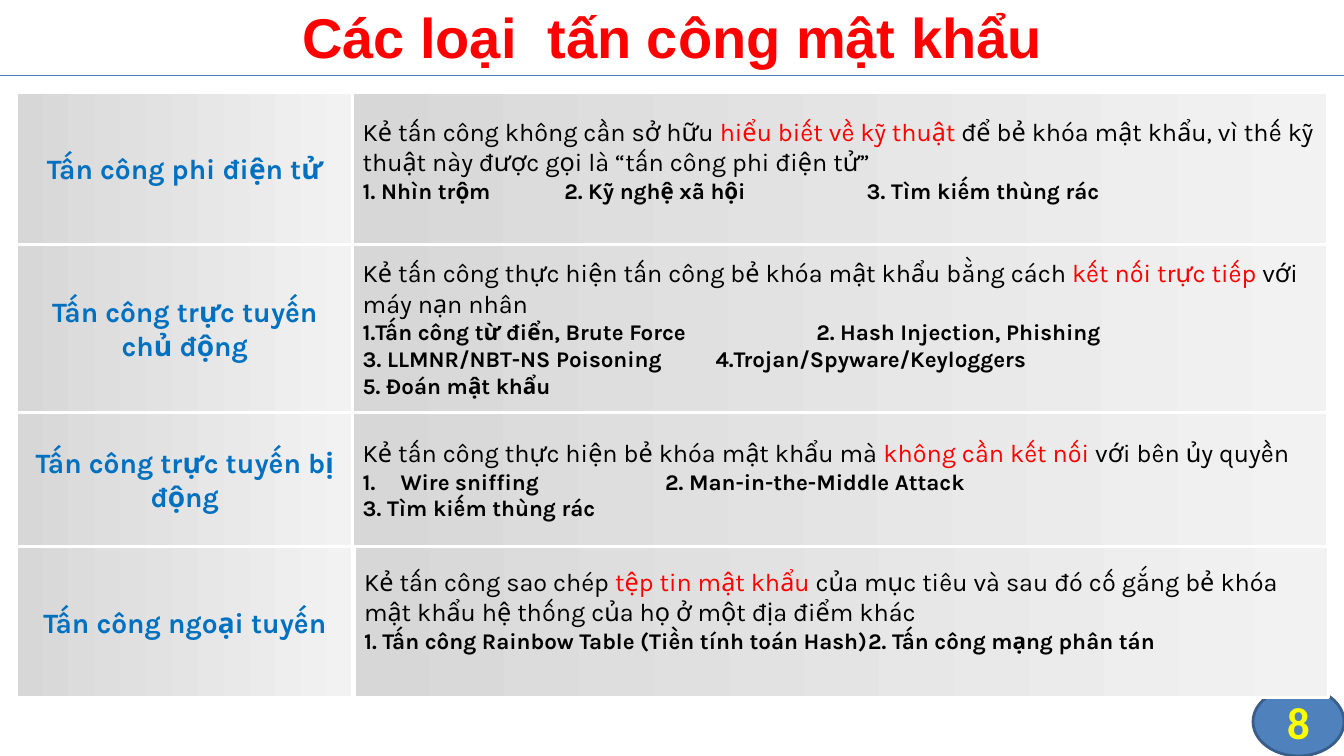
from lxml import etree
from pptx import Presentation
from pptx.dml.color import RGBColor
from pptx.enum import shapes, text
from pptx.oxml import ns
from pptx.util import Pt

TITLE = "Các loại  tấn công mật khẩu"
PAGE_NUMBER = "8"

# height: row height; lift: extra space under the details; shift: offset of the details box
# intro: plain, highlighted, plain; items: (text, tab stops, numbered)
ATTACKS = [
    dict(name="Tấn công phi điện tử", height=108.2, lift=12, shift=0,
         intro=("Kẻ tấn công không cần sở hữu ", "hiểu biết về kỹ thuật ",
                "để bẻ khóa mật khẩu, vì thế kỹ thuật này được gọi là “tấn công phi điện tử”"),
         items=[("1. Nhìn trộm\t2. Kỹ nghệ xã hội\t3. Tìm kiếm thùng rác", (144, 360), False)]),
    dict(name="Tấn công trực tuyến chủ động", height=120, lift=0, shift=0,
         intro=("Kẻ tấn công thực hiện tấn công bẻ khóa mật khẩu bằng cách ",
                "kết nối trực tiếp ", "với máy nạn nhân"),
         items=[("1.Tấn công từ điển, Brute Force\t2. Hash Injection, Phishing", (324,), False),
                ("3. LLMNR/NBT-NS Poisoning\t4.Trojan/Spyware/Keyloggers", (252,), False),
                ("5. Đoán mật khẩu", (), False)]),
    dict(name="Tấn công trực tuyến bị động", height=96, lift=0, shift=0,
         intro=("Kẻ tấn công thực hiện bẻ khóa mật khẩu mà ", "không cần kết nối ",
                "với bên ủy quyền"),
         items=[("Wire sniffing\t2. Man-in-the-Middle Attack", (216,), True),
                ("3. Tìm kiếm thùng rác", (), False)]),
    dict(name="Tấn công ngoại tuyến", height=108, lift=17, shift=1,
         intro=("Kẻ tấn công sao chép ", "tệp tin mật khẩu ",
                "của mục tiêu và sau đó cố gắng bẻ khóa mật khẩu hệ thống của họ "
                "ở một địa điểm khác"),
         items=[("1. Tấn công Rainbow Table (Tiền tính toán Hash)\t2. Tấn công mạng phân tán",
                 (360,), False)]),
]

SLIDE_WIDTH, SLIDE_HEIGHT = 960, 540
GRID_LEFT, GRID_TOP = 12, 66.2
NAME_WIDTH, DETAILS_WIDTH = 240, 696
NUMBER_INDENT = 27

TITLE_FORMAT = dict(name="Arial", size=Pt(40), bold=True, color="FF0000")
NUMBER_FORMAT = dict(name="Calibri", size=Pt(32), bold=True, color="FFFF00")
NAME_FORMAT = dict(name="Karla", size=Pt(20), bold=True, color="0070C0")
INTRO_FORMAT = dict(name="Karla", size=Pt(18), bold=False, color="000000")
KEY_FORMAT = dict(INTRO_FORMAT, color="FF0000")
ITEM_FORMAT = dict(name="Karla", size=Pt(16), bold=True, color="000000")


def rgb(code):
    return RGBColor.from_string(code)


def add_span(para, words, style):
    span = para.add_run()
    span.text = words
    for key, value in style.items():
        if key == "color":
            span.font.color.rgb = rgb(value)
        else:
            setattr(span.font, key, value)


def set_frame(shape, insets):
    """Wrap and centre vertically; insets are left, top, right, bottom."""
    frame = shape.text_frame
    frame.word_wrap = True
    frame.vertical_anchor = text.MSO_ANCHOR.MIDDLE
    for side, inset in zip(("left", "top", "right", "bottom"), insets):
        setattr(frame, "margin_" + side, Pt(inset))
    return frame


def add_centred(frame, words, style):
    para = frame.paragraphs[0]
    para.alignment = text.PP_ALIGN.CENTER
    add_span(para, words, style)


def add_label(page, place, insets, words, style):
    box = page.shapes.add_textbox(*map(Pt, place))
    add_centred(set_frame(box, insets), words, style)


def add_cell(page, left, top, width, height, lift=0):
    cell = page.shapes.add_shape(shapes.MSO_SHAPE.RECTANGLE,
                                 Pt(left), Pt(top), Pt(width), Pt(height))
    cell.shadow.inherit = False
    cell.fill.gradient()
    cell.fill.gradient_angle = 0
    for stop, code in zip(cell.fill.gradient_stops, ("D7D7D7", "F2F2F2")):
        stop.color.rgb = rgb(code)
    cell.line.color.rgb = rgb("FFFFFF")
    cell.line.width = Pt(2)
    return set_frame(cell, (7.2, 3.6, 7.2, 3.6 + lift))


def add_item(frame, words, stops, numbered):
    para = frame.add_paragraph()
    para.alignment = text.PP_ALIGN.LEFT
    props = para._p.get_or_add_pPr()
    if numbered:
        props.set("marL", str(Pt(NUMBER_INDENT)))
        props.set("indent", str(-Pt(NUMBER_INDENT)))
        etree.SubElement(props, ns.qn("a:buAutoNum"), type="arabicPeriod")
    if stops:
        tabs = etree.SubElement(props, ns.qn("a:tabLst"))
        for stop in stops:
            etree.SubElement(tabs, ns.qn("a:tab"), pos=str(Pt(stop)), algn="l")
    add_span(para, words, ITEM_FORMAT)


def add_attack(page, top, attack):
    height = attack["height"]
    add_centred(add_cell(page, GRID_LEFT, top, NAME_WIDTH, height), attack["name"], NAME_FORMAT)
    frame = add_cell(page, GRID_LEFT + NAME_WIDTH + attack["shift"], top,
                     DETAILS_WIDTH, height, attack["lift"])
    intro = frame.paragraphs[0]
    intro.alignment = text.PP_ALIGN.LEFT
    for words, style in zip(attack["intro"], (INTRO_FORMAT, KEY_FORMAT, INTRO_FORMAT)):
        add_span(intro, words, style)
    for item in attack["items"]:
        add_item(frame, *item)


def main():
    deck = Presentation()
    deck.slide_width, deck.slide_height = Pt(SLIDE_WIDTH), Pt(SLIDE_HEIGHT)
    page = deck.slides.add_slide(deck.slide_layouts[6])

    badge_place = (895, 491, 65, 49)
    badge = page.shapes.add_shape(shapes.MSO_SHAPE.FLOWCHART_CONNECTOR, *map(Pt, badge_place))
    badge.shadow.inherit = False
    badge.fill.solid()
    badge.fill.fore_color.rgb = rgb("4F81BD")
    badge.line.color.rgb = rgb("395E89")
    badge.line.width = Pt(2)

    rule = page.shapes.add_connector(shapes.MSO_CONNECTOR.STRAIGHT,
                                     0, Pt(54), Pt(SLIDE_WIDTH), Pt(54))
    rule.line.color.rgb = rgb("4A7DBA")
    rule.line.width = Pt(0.75)
    etree.SubElement(rule._element.spPr, ns.qn("a:effectLst"))

    add_label(page, (0, -2, SLIDE_WIDTH, 56), (7.2, 3.6, 7.2, 3.6), TITLE, TITLE_FORMAT)
    add_label(page, badge_place, (0, 0, 0, 0), PAGE_NUMBER, NUMBER_FORMAT)

    top = GRID_TOP
    for attack in ATTACKS:
        add_attack(page, top, attack)
        top += attack["height"]

    deck.save("out.pptx")


if __name__ == "__main__":
    main()
